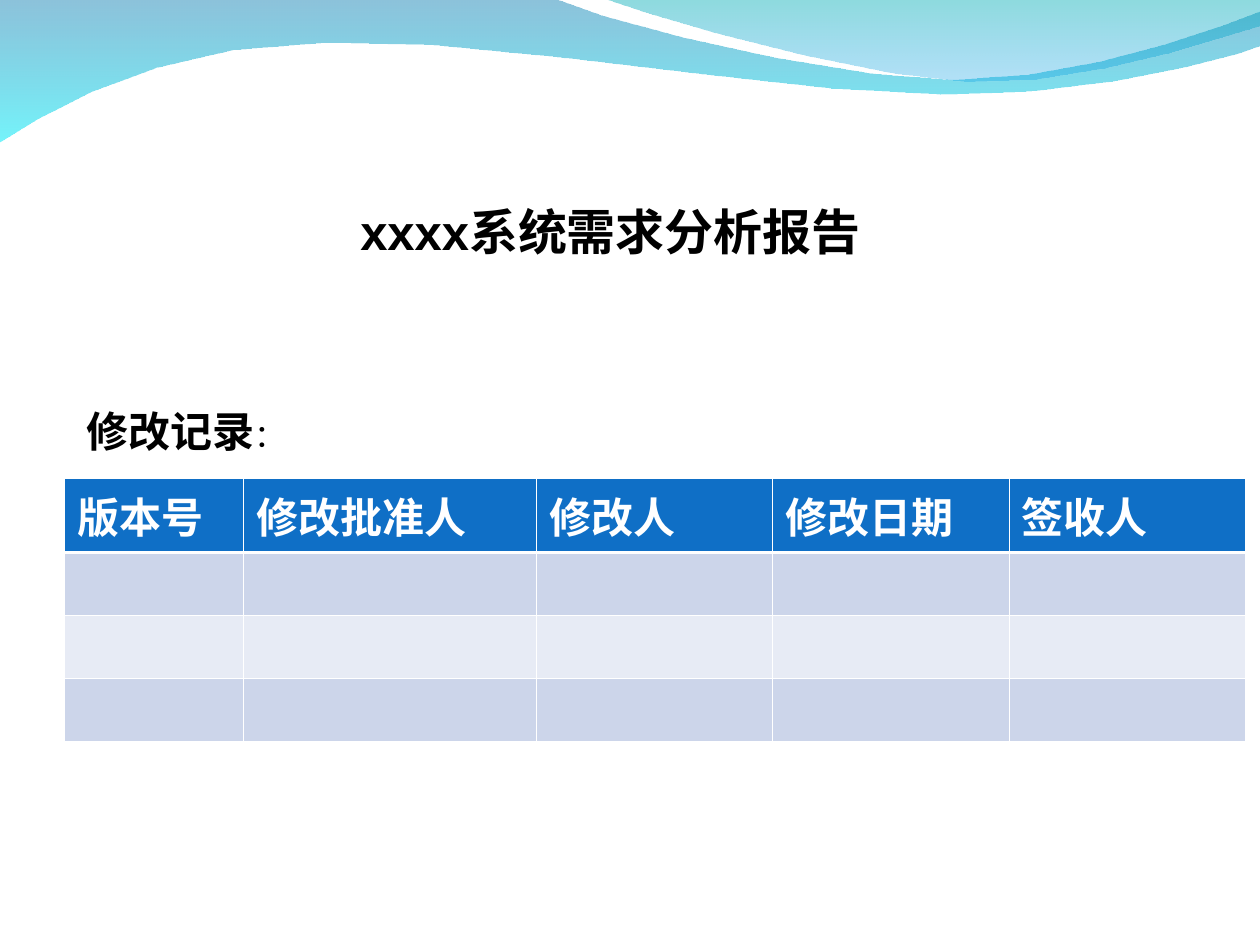
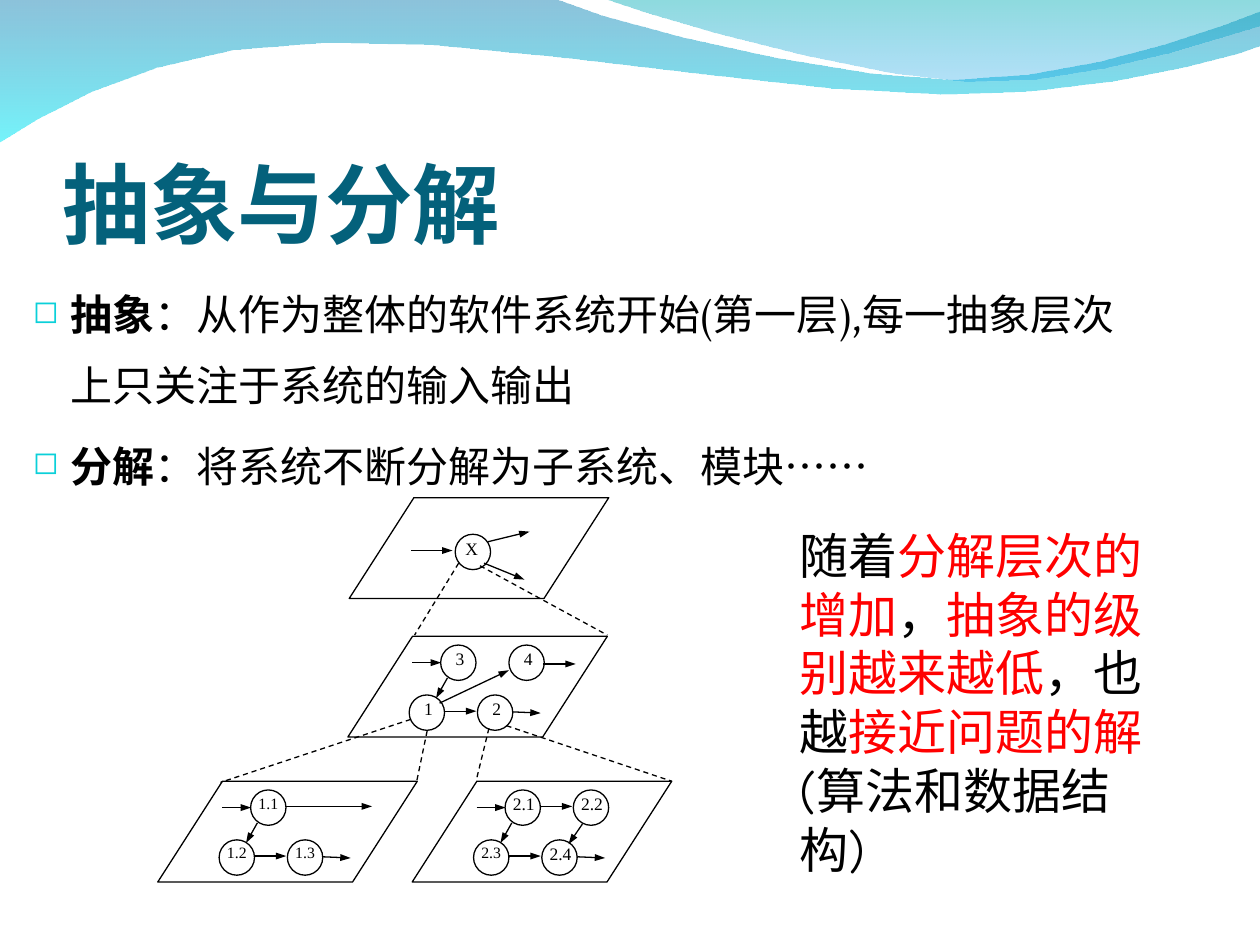
import pptx
import pptx.util
import pptx.dml.color
import pptx.enum.dml
import pptx.enum.shapes
import pptx.enum.text
import pptx.oxml.ns
import lxml.etree

Pt = pptx.util.Pt
qn = pptx.oxml.ns.qn
ALIGN = pptx.enum.text.PP_ALIGN
SHAPE = pptx.enum.shapes.MSO_SHAPE
HAN = "Noto Sans CJK SC"
SERIF = "Times New Roman"

HUES = {
    "ink": "000000", "white": "FFFFFF", "red": "FF0000", "title": "04617B",
    "head": "0F6FC6", "odd": "CCD5EA", "even": "E7EBF5", "mark": "0BD0D9",
    "deep": "0079AF", "aqua": "00EBF8", "teal": "00ADB6", "sky": "009BE5",
}

BAND = [
    ((0, -0.7), (316.8, -0.7)),
    ((316.8, -0.7), (342.7, 12.2), (478.1, 45.4), (545.8, 45.4)),
    ((545.8, 45.4), (614.2, 45.4), (689.8, 18.7), (720, 6.5)),
    ((720, 6.5), (720.7, 25.9)),
    ((720.7, 25.9), (707.8, 31.7), (626.4, 54.7), (537.1, 54)),
    ((537.1, 54), (447.8, 54), (275, 20.2), (185, 24.5)),
    ((185, 24.5), (92.9, 25.2), (33.1, 59.8), (-0.7, 81.4)),
]
CREST = [
    ((344.9, -0.7), (366.5, 7.9), (491, 44.6), (553.7, 46.8)),
    ((553.7, 46.8), (616.3, 49.7), (691.9, 23), (720, 15.1)),
    ((720, 15.1), (720, 0)),
]

SLOTS = [(53, 5), (92, 5), (35, 33.5), (74, 33.5)]
FLOW = [(36.7, 15.1, 53.3, 15.1), (55.4, 42.8, 73.4, 42.8),
        (94.3, 43.2, 110.2, 43.9), (56.9, 23.8, 50.4, 35.3)]
DASHES = [(262.1, 321.8, 236.9, 362.9), (274.3, 323.3, 347, 362.9),
          (234.7, 411.1, 126, 447.1), (244.1, 417.6, 238.3, 445.7),
          (279.4, 416.2, 272.2, 445.7), (289.4, 414.7, 383.8, 446.4)]


def hue(name):
    """Return the named colour."""
    return pptx.dml.color.RGBColor.from_string(HUES[name])


def add(node, tag, **attrs):
    """Append a DrawingML child and return it."""
    return lxml.etree.SubElement(node, qn("a:" + tag), attrs)


def style(run, size, face, color="ink", bold=False):
    """Format one run."""
    font = run.font
    font.size, font.name, font.bold = Pt(size), face, bold
    font.color.rgb = hue(color)
    add(font._element, "ea", typeface=HAN)


def write(para, parts, align=ALIGN.LEFT):
    """Fill a paragraph with (text, size, face, colour, bold) parts."""
    para.alignment = align
    for text, *look in parts:
        run = para.add_run()
        run.text = text
        style(run, *look)


def text(slide, box, parts, align=ALIGN.LEFT):
    """Add a wrapping text box with one paragraph."""
    frame = slide.shapes.add_textbox(*map(Pt, box)).text_frame
    frame.word_wrap = True
    write(frame.paragraphs[0], parts, align)
    return frame


def bezier(ends, steps=5):
    """Sample a line or cubic curve, leaving out its start."""
    if len(ends) == 2:
        return [ends[1]]
    a, b, c, d = ends
    dots = []
    for i in range(1, steps + 1):
        t = i / steps
        u = 1 - t
        dots.append(tuple(u**3 * p + 3 * u * u * t * q + 3 * u * t * t * r + t**3 * s
                          for p, q, r, s in zip(a, b, c, d)))
    return dots


def wave(slide, curves, stops):
    """Add a translucent wave with a vertical gradient."""
    dots = [dot for ends in curves for dot in bezier(ends)]
    pen = slide.shapes.build_freeform(*map(Pt, curves[0][0]), scale=1.0)
    pen.add_line_segments([(Pt(x), Pt(y)) for x, y in dots], close=True)
    shape = pen.convert_to_shape()
    shape.shadow.inherit = False
    shape.line.fill.background()
    shape.fill.gradient()
    shape.fill.gradient_angle = 270
    for stop, (name, alpha), place in zip(shape.fill.gradient_stops, stops, (0, 1)):
        stop.color.rgb = hue(name)
        stop.position = place
    for node, (name, alpha) in zip(shape.element.iter(qn("a:srgbClr")), stops):
        add(node, "alpha", val=str(alpha * 1000))


def page(deck):
    """Add a blank slide with the shared waves."""
    slide = deck.slides.add_slide(deck.slide_layouts[6])
    wave(slide, BAND, [("deep", 45), ("aqua", 55)])
    wave(slide, CREST, [("teal", 45), ("sky", 30)])
    return slide


def border(cell, first, head):
    """Draw white cell borders, thick below the header."""
    props = cell._tc.get_or_add_tcPr()
    widths = {"lnL": 0.45, "lnR": 0.45, "lnT": 1.47 if first else 0.45,
              "lnB": 1.47 if head else 0.45}
    for i, (tag, width) in enumerate(widths.items()):
        line = lxml.etree.Element(qn("a:" + tag), w=str(Pt(width)))
        add(add(line, "solidFill"), "srgbClr", val=HUES["white"])
        props.insert(i, line)


def grid(slide, heads, widths):
    """Add the change log table with three empty rows."""
    rows = 4
    frame = slide.shapes.add_table(rows, len(heads), Pt(37), Pt(273.6),
                                   Pt(sum(widths)), Pt(36 * rows))
    table = frame.table
    for col, (head, width) in enumerate(zip(heads, widths)):
        table.columns[col].width = Pt(width)
        write(table.cell(0, col).text_frame.paragraphs[0],
              [(head, 24, "Vollkorn", "white", True)])
        for row, fill in enumerate(("head", "odd", "even", "odd")):
            cell = table.cell(row, col)
            cell.fill.solid()
            cell.fill.fore_color.rgb = hue(fill)
            border(cell, row == 1, row == 0)


def outline(slide, kind, box):
    """Add an unfilled shape with a thin black line."""
    shape = slide.shapes.add_shape(kind, *map(Pt, box))
    shape.shadow.inherit = False
    shape.fill.background()
    shape.line.color.rgb = hue("ink")
    shape.line.width = Pt(0.75)
    return shape


def link(slide, ends, dash=False):
    """Add a dashed line or a solid arrow."""
    kind = pptx.enum.shapes.MSO_CONNECTOR.STRAIGHT
    line = slide.shapes.add_connector(kind, *map(Pt, ends))
    line.line.color.rgb = hue("ink")
    line.line.width = Pt(0.75)
    if dash:
        line.line.dash_style = pptx.enum.dml.MSO_LINE.DASH
    else:
        add(line.line._get_or_add_ln(), "tailEnd", type="triangle", w="sm", len="med")
    add(line.element.spPr, "effectLst")


def node(slide, x, y, label, size, align, shift=-2.6):
    """Add a labelled circle."""
    text(slide, (x + shift, y - 1.6, 27.4, 23), [(label, size, SERIF)], align)
    outline(slide, SHAPE.OVAL, (x, y, 20.2, 20.2))


def panel(slide, x, y, nodes, flows, align=ALIGN.CENTER):
    """Add one level: a slanted sheet, its nodes and its arrows."""
    sheet = outline(slide, SHAPE.PARALLELOGRAM, (x, y, 148.3, 57.6))
    sheet.adjustments[0] = 0.642
    for (dx, dy), label, size, *shift in nodes:
        node(slide, x + dx, y + dy, label, size, align, *shift)
    for a, b, c, d in flows:
        link(slide, (x + a, y + b, x + c, y + d))


def bullet(para, parts):
    """Write a paragraph with a hollow square bullet."""
    write(para, parts)
    para.line_spacing = 1.4
    para.space_before = Pt(6)
    props = para._p.get_or_add_pPr()
    props.set("marL", str(Pt(21.6)))
    props.set("indent", str(-Pt(21.6)))
    add(add(props, "buClr"), "srgbClr", val=HUES["mark"])
    add(props, "buSzPct", val="75000")
    add(props, "buChar", char="◻")


def report(deck):
    """Build the report cover with its change log."""
    slide = page(deck)
    grid(slide, ["版本号", "修改批准人", "修改人", "修改日期", "签收人"],
         [102.2, 167.4, 135, 135, 135])
    text(slide, (42.5, 228.2, 226.8, 36),
         [("修改记录", 24, "Arial", "ink", True), ("：", 18, "Arial")])
    text(slide, (133.5, 111.6, 430.6, 74.9),
         [("xxxx系统需求分析报告", 28, "Arial", "ink", True)], ALIGN.CENTER)


def levels(deck):
    """Build the slide on abstraction and decomposition."""
    slide = page(deck)
    title = text(slide, (36, 55.8, 660.2, 90), [("抽象与分解", 50, HAN, "title", True)])
    title.vertical_anchor = pptx.enum.text.MSO_ANCHOR.BOTTOM
    title.margin_left = title.margin_right = title.margin_bottom = 0

    face = "Vollkorn"
    body = text(slide, (11.8, 149.8, 648, 136.8), [])
    bullet(body.paragraphs[0], [
        ("抽象", 24, face, "ink", True),
        ("：从作为整体的软件系统开始(第一层),每一抽象层次上只关注于系统的输入输出", 24, face)])
    bullet(body.add_paragraph(), [
        ("分解", 24, face, "ink", True),
        ("：将系统不断分解为子系统、模块", 24, face), ("……", 24, "Arial")])

    tl, tr, bl, br = SLOTS
    panel(slide, 235.6, 446.4,
          [(br, "2.4", 10), (bl, "2.3", 9), (tr, "2.2", 10), (tl, "2.1", 10)],
          FLOW + [(72.7, 14.4, 91.4, 14.4), (97.2, 24.5, 89.3, 36)], ALIGN.JUSTIFY)
    panel(slide, 198.8, 363.6,
          [(br, "2", 10), (bl, "1", 10), (tr, "4", 10), (tl, "3", 10)],
          FLOW + [(111.5, 15.8, 130.2, 15.8), (52.4, 38.2, 92, 19.4)])
    panel(slide, 90.2, 446.4, [(br, "1.3", 9), (bl, "1.2", 9), (tl, "1.1", 9)],
          FLOW + [(72.7, 14.4, 122.4, 14.4)], ALIGN.JUSTIFY)
    panel(slide, 199.6, 284.4, [((60.5, 20.9), "X", 10, -4.3)],
          [(77, 37.4, 100.1, 46.8), (35.3, 30.2, 59, 30.2), (79.2, 25.2, 103, 19.4)])
    for ends in DASHES:
        link(slide, ends, dash=True)

    note = [("随着", "ink"), ("分解层次的增加", "red"), ("，", "ink"),
            ("抽象的级别越来越低", "red"), ("，也越", "ink"),
            ("接近问题的解", "red"), ("(算法和数据结构)", "ink")]
    text(slide, (450, 296.6, 221.8, 208.8),
         [(part, 28, "Comic Neue", color) for part, color in note])


def main():
    """Build and save the deck."""
    deck = pptx.Presentation()
    deck.slide_width, deck.slide_height = Pt(720), Pt(540)
    report(deck)
    levels(deck)
    deck.save("out.pptx")


if __name__ == "__main__":
    main()
